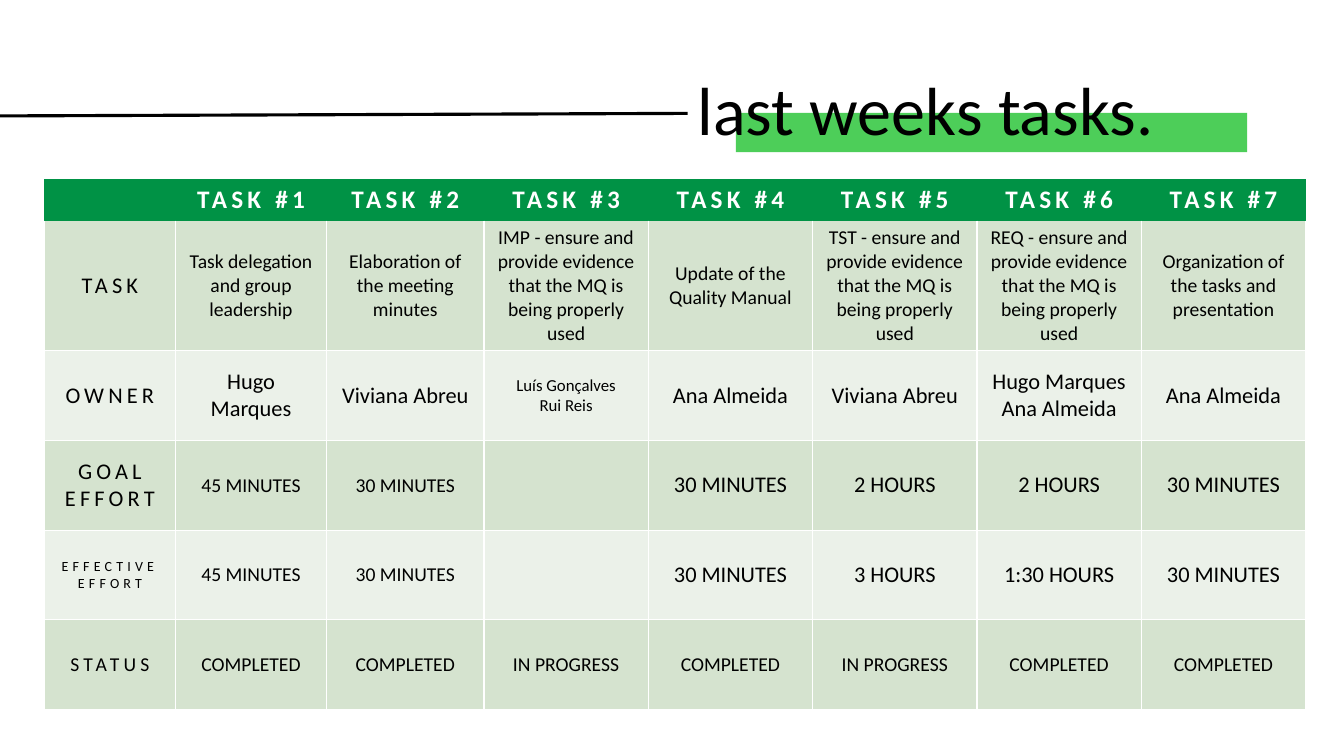
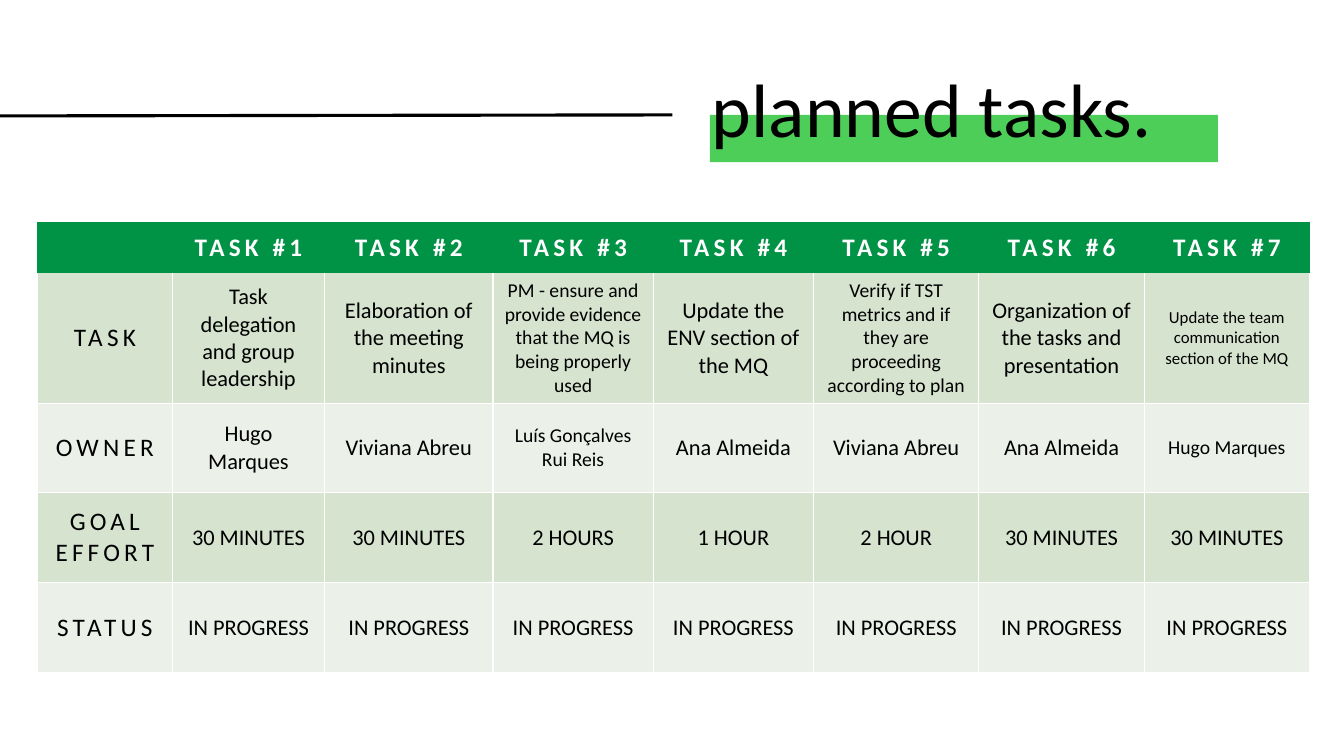
import pptx
import pptx.dml.color
import pptx.enum.shapes
import pptx.enum.text
import pptx.util
from lxml import etree
from pptx.oxml.ns import qn
from pptx.util import Inches

BLACK = pptx.dml.color.RGBColor(0x00, 0x00, 0x00)
WHITE = pptx.dml.color.RGBColor(0xFF, 0xFF, 0xFF)
HEADER_GREEN = pptx.dml.color.RGBColor(0x00, 0x92, 0x45)
ACCENT_GREEN = pptx.dml.color.RGBColor(0x4D, 0xCE, 0x59)
ROW_TINTS = (pptx.dml.color.RGBColor(0xD5, 0xE3, 0xCF),
             pptx.dml.color.RGBColor(0xEB, 0xF1, 0xE9))

FONT = "Calibri"
PLAIN_TABLE_STYLE = "{2D5ABB26-0587-4C30-8999-92F81FD0307C}"
HEADINGS = [""] + [f"TASK #{number}" for number in range(1, 8)]
HEADING_SIZE = 18
LABEL_SPACING = 3
TITLE_TOP, TITLE_HEIGHT = 0.4, 1.45
TASK_ROW_HEIGHT, ROW_HEIGHT = 1.29, 0.89
EVIDENCE = "ensure and provide evidence that the MQ is being properly used"

# Each row: label, label size, entry size, entries. An entry of another size is (text, size).
LAST_WEEK_ROWS = [
    ("TASK", 16, 14, [
        "Task delegation and group leadership", "Elaboration of the meeting minutes",
        f"IMP - {EVIDENCE}", "Update of the Quality Manual", f"TST - {EVIDENCE}",
        f"REQ - {EVIDENCE}", "Organization of the tasks and presentation"]),
    ("OWNER", 16, 16, [
        "Hugo Marques", "Viviana Abreu", ("Luís Gonçalves\nRui Reis", 12), "Ana Almeida",
        "Viviana Abreu", "Hugo Marques\nAna Almeida", "Ana Almeida"]),
    ("GOAL\nEFFORT", 16, 16, [
        ("45 MINUTES", 14), ("30 MINUTES", 14), "", "30 MINUTES",
        "2 HOURS", "2 HOURS", "30 MINUTES"]),
    ("EFFECTIVE EFFORT", 10, 16, [
        ("45 MINUTES", 14), ("30 MINUTES", 14), "", "30 MINUTES",
        "3 HOURS", "1:30 HOURS", "30 MINUTES"]),
    ("STATUS", 14, 14, [
        "COMPLETED", "COMPLETED", "IN PROGRESS", "COMPLETED",
        "IN PROGRESS", "COMPLETED", "COMPLETED"]),
]
PLANNED_ROWS = [
    ("TASK", 18, 16, [
        "Task delegation and group leadership", "Elaboration of the meeting minutes",
        (f"PM - {EVIDENCE}", 14), "Update the ENV section of the MQ",
        ("Verify if TST metrics and if they are proceeding according to plan", 14),
        "Organization of the tasks and presentation",
        ("Update the team communication section of the MQ", 12)]),
    ("OWNER", 18, 16, [
        "Hugo Marques", "Viviana Abreu", ("Luís Gonçalves\nRui Reis", 14), "Ana Almeida",
        "Viviana Abreu", "Ana Almeida", ("Hugo Marques", 14)]),
    ("GOAL\nEFFORT", 18, 16, [
        "30 MINUTES", "30 MINUTES", "2 HOURS", "1 HOUR",
        "2 HOUR", "30 MINUTES", "30 MINUTES"]),
    ("STATUS", 18, 16, ["IN PROGRESS"] * 7),
]


def write_text(frame, text, *, size, color=BLACK, bold=False, spacing=0,
               align=pptx.enum.text.PP_ALIGN.CENTER, line_spacing=None):
    """Fill a text frame, one paragraph per line of text."""
    for index, line in enumerate(text.split("\n")):
        paragraph = frame.paragraphs[0] if index == 0 else frame.add_paragraph()
        paragraph.alignment = align
        paragraph.line_spacing = line_spacing
        run = paragraph.add_run()
        run.text = line
        run.font.name = FONT
        run.font.size = pptx.util.Pt(size)
        run.font.bold = bold
        run.font.color.rgb = color
        if spacing:
            run.font._element.set("spc", str(spacing * 100))


def add_cell_borders(cell):
    properties = cell._tc.get_or_add_tcPr()
    for side in ("lnL", "lnR", "lnB"):
        border = etree.SubElement(properties, qn(f"a:{side}"), w=str(pptx.util.Pt(1)))
        fill = etree.SubElement(border, qn("a:solidFill"))
        etree.SubElement(fill, qn("a:srgbClr"), val=str(WHITE))


def fill_cell(cell, text, fill, **text_format):
    cell.fill.solid()
    cell.fill.fore_color.rgb = fill
    cell.vertical_anchor = pptx.enum.text.MSO_ANCHOR.MIDDLE
    if text:
        write_text(cell.text_frame, text, **text_format)


def add_task_table(slide, left, top, column_widths, header_height, rows):
    heights = [header_height, TASK_ROW_HEIGHT] + [ROW_HEIGHT] * (len(rows) - 1)
    frame = slide.shapes.add_table(
        len(heights), len(column_widths), Inches(left), Inches(top),
        Inches(sum(column_widths)), Inches(sum(heights)))
    table = frame.table
    table._tbl.tblPr.find(qn("a:tableStyleId")).text = PLAIN_TABLE_STYLE
    for column, width in zip(table.columns, column_widths):
        column.width = Inches(width)
    for row, height in zip(table.rows, heights):
        row.height = Inches(height)

    for column, heading in enumerate(HEADINGS):
        fill_cell(table.cell(0, column), heading, HEADER_GREEN, size=HEADING_SIZE,
                  color=WHITE, bold=True, spacing=LABEL_SPACING)
    for index, (label, label_size, entry_size, entries) in enumerate(rows):
        tint = ROW_TINTS[index % 2]
        for column, entry in enumerate([(label, label_size)] + entries):
            text, size = entry if isinstance(entry, tuple) else (entry, entry_size)
            cell = table.cell(index + 1, column)
            add_cell_borders(cell)
            fill_cell(cell, text, tint, size=size,
                      spacing=0 if column else LABEL_SPACING)


def add_title_band(slide, left, top, width, height):
    band = slide.shapes.add_shape(
        pptx.enum.shapes.MSO_SHAPE.RECTANGLE,
        Inches(left), Inches(top), Inches(width), Inches(height))
    band.shadow.inherit = False
    band.fill.solid()
    band.fill.fore_color.rgb = ACCENT_GREEN
    band.line.fill.background()


def place_title(slide, text, left, width, size):
    """Format the title and bring it in front of the band."""
    title = slide.shapes.title
    title.left, title.top = Inches(left), Inches(TITLE_TOP)
    title.width, title.height = Inches(width), Inches(TITLE_HEIGHT)
    title.text_frame.auto_size = pptx.enum.text.MSO_AUTO_SIZE.NONE
    title.text_frame.vertical_anchor = pptx.enum.text.MSO_ANCHOR.MIDDLE
    write_text(title.text_frame, text, size=size, line_spacing=0.9,
               align=pptx.enum.text.PP_ALIGN.LEFT)
    title.element.getparent().append(title.element)
    return title


def add_lead_line(slide, end_x, end_y, joined_title=None):
    lead = slide.shapes.add_connector(
        pptx.enum.shapes.MSO_CONNECTOR.STRAIGHT,
        Inches(0), Inches(1.15), Inches(end_x), Inches(end_y))
    lead.line.color.rgb = BLACK
    lead.line.width = pptx.util.Pt(2.25)
    etree.SubElement(lead._element.spPr, qn("a:effectLst"))
    if joined_title is not None:
        lead.end_connect(joined_title, 1)


def add_title_only_slide(deck):
    return deck.slides.add_slide(deck.slide_layouts[5])


def main():
    deck = pptx.Presentation()
    deck.slide_width, deck.slide_height = Inches(13.33), Inches(7.5)

    last_week = add_title_only_slide(deck)
    add_title_band(last_week, 7.3, 1.12, 5.07, 0.39)
    add_task_table(last_week, 0.44, 1.78, [1.3, 1.5, 1.56] + [1.63] * 5,
                   0.41, LAST_WEEK_ROWS)
    title = place_title(last_week, "last weeks tasks.", 6.82, 5.6, 48.6)
    add_lead_line(last_week, 6.82, 1.12, joined_title=title)

    planned = add_title_only_slide(deck)
    add_title_band(planned, 7.04, 1.14, 5.04, 0.47)
    add_task_table(planned, 0.37, 2.2, [1.34, 1.51, 1.67, 1.59, 1.59] + [1.64] * 3,
                   0.51, PLANNED_ROWS)
    place_title(planned, "planned tasks.", 6.96, 5.45, 54)
    add_lead_line(planned, 6.67, 1.14)

    deck.save("out.pptx")


if __name__ == "__main__":
    main()
